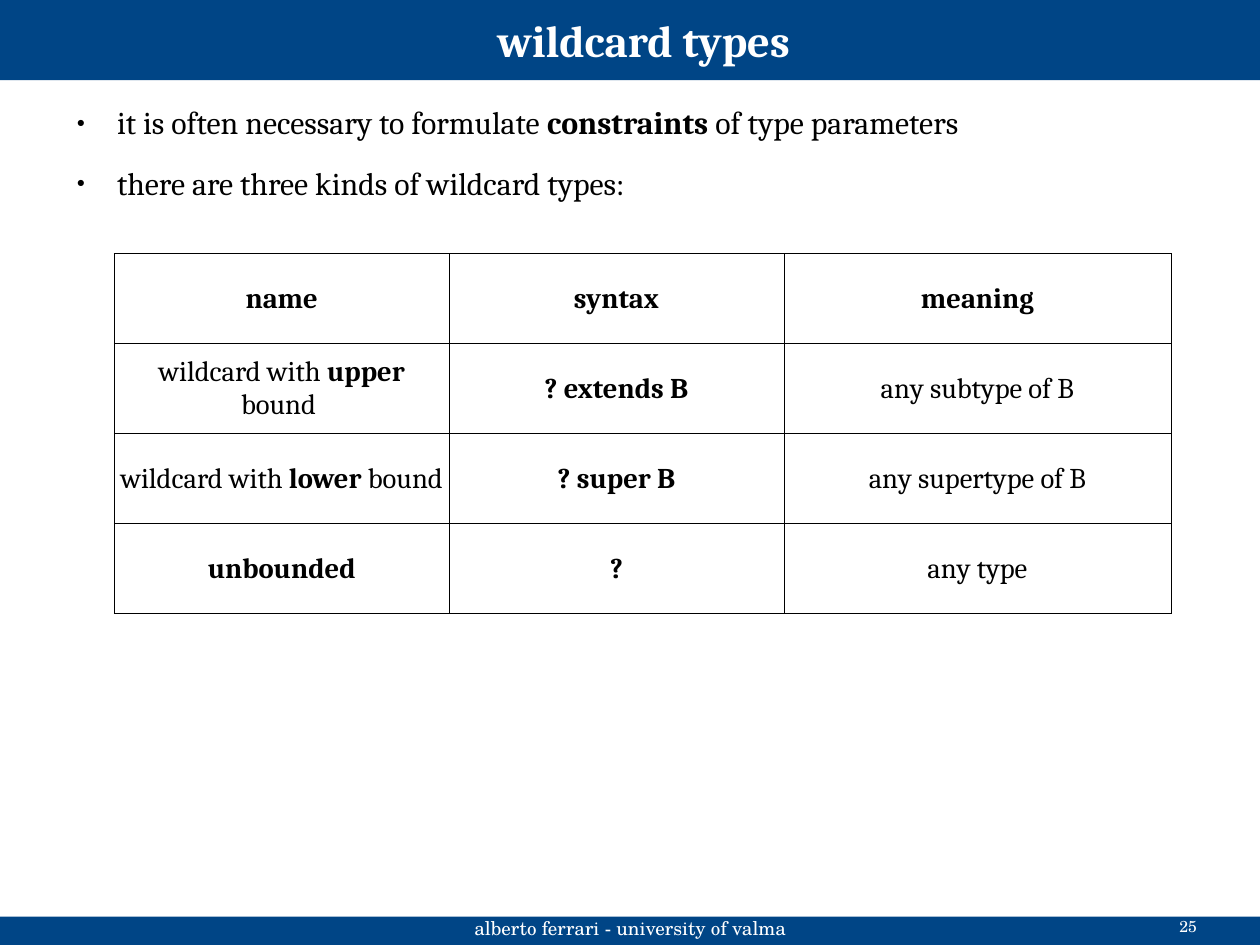
from pptx import Presentation
from pptx import util as u
from pptx.dml.color import RGBColor
from pptx.enum import shapes, text
from pptx.oxml import parse_xml
from pptx.oxml.ns import nsdecls, qn

NAVY = RGBColor(0x00, 0x45, 0x86)
BLACK = RGBColor(0, 0, 0)
WHITE = RGBColor(0xFF, 0xFF, 0xFF)
MAIN = "Cambria"
FOOT = "TeX Gyre Schola"
WIDE, HIGH = 28, 21
HEAD_H, FOOT_Y, FOOT_H = 1.78, 20.37, 0.64

POINTS = [
    "it is often necessary to formulate *constraints* of type parameters",
    "there are three kinds of wildcard types:",
]
KINDS = [
    ["*name*", "*syntax*", "*meaning*"],
    ["wildcard with *upper* bound ", "*? extends B*", "any subtype of B"],
    ["wildcard with *lower* bound", "*? super B*", "any supertype of B"],
    ["*unbounded*", "*?*", "any type"],
]


class Deck:
    def __init__(self):
        self.prs = Presentation()
        self.prs.slide_width = u.Cm(WIDE)
        self.prs.slide_height = u.Cm(HIGH)
        self.slide = self.prs.slides.add_slide(self.prs.slide_layouts[1])

    def fill_in(self, para, words, size, color=BLACK, font=MAIN, align="LEFT"):
        """Fill a paragraph; words between asterisks are bold."""
        para.alignment = text.PP_ALIGN[align]
        for i, part in enumerate(words.split("*")):
            if part:
                run = para.add_run()
                run.text = part
                run.font.size = u.Pt(size)
                run.font.name = font
                run.font.bold = i % 2 == 1
                run.font.color.rgb = color

    def place(self, shape, x, y, w, h, anchor="TOP"):
        """Move a text shape, drop its insets and return its frame."""
        shape.left, shape.top = u.Cm(x), u.Cm(y)
        shape.width, shape.height = u.Cm(w), u.Cm(h)
        frame = shape.text_frame
        frame.margin_left = frame.margin_right = 0
        frame.margin_top = frame.margin_bottom = 0
        frame.word_wrap = True
        frame.auto_size = text.MSO_AUTO_SIZE.NONE
        frame.vertical_anchor = text.MSO_ANCHOR[anchor]
        return frame

    def bar(self, y, h):
        """Draw a full-width band behind the placeholders."""
        band = self.slide.shapes.add_shape(
            shapes.MSO_SHAPE.RECTANGLE, 0, u.Cm(y), u.Cm(WIDE), u.Cm(h))
        band.shadow.inherit = False
        band.fill.solid()
        band.fill.fore_color.rgb = NAVY
        band.line.fill.background()
        band.element.getparent().insert(2, band.element)

    def title(self, words):
        frame = self.place(self.slide.shapes.title, 0, 0, WIDE, HEAD_H, "MIDDLE")
        para = frame.paragraphs[0]
        self.fill_in(para, words, 28, WHITE, align="CENTER")
        para._p.get_or_add_pPr().set("marL", str(u.Cm(0.6)))

    def points(self, items, x, y, w, h):
        frame = self.place(self.slide.placeholders[1], x, y, w, h)
        for i, item in enumerate(items):
            para = frame.add_paragraph() if i else frame.paragraphs[0]
            self.fill_in(para, item, 20)
            para.space_before = u.Pt(0)
            para.space_after = u.Pt(14.2)
            props = para._p.get_or_add_pPr()
            props.set("marL", str(u.Cm(1.2)))
            props.set("indent", str(u.Cm(-0.9)))
            for tag in (f'<a:buClr {nsdecls("a")}><a:srgbClr val="{BLACK}"/></a:buClr>',
                        f'<a:buSzPct {nsdecls("a")} val="45000"/>',
                        f'<a:buChar {nsdecls("a")} char="●"/>'):
                props.append(parse_xml(tag))

    def table(self, rows, x, y, cols, row_h):
        frame = self.slide.shapes.add_table(
            len(rows), len(cols), u.Cm(x), u.Cm(y),
            u.Cm(sum(cols)), u.Cm(row_h * len(rows)))
        grid = frame.table
        grid.first_row = grid.horz_banding = False
        for col, w in zip(grid.columns, cols):
            col.width = u.Cm(w)
        for r, row in enumerate(rows):
            grid.rows[r].height = u.Cm(row_h)
            for c, words in enumerate(row):
                cell = grid.cell(r, c)
                cell.fill.background()
                cell.vertical_anchor = text.MSO_ANCHOR.MIDDLE
                cell.margin_left = cell.margin_right = u.Cm(0.1)
                cell.margin_top = cell.margin_bottom = u.Cm(0.13)
                self.fill_in(cell.text_frame.paragraphs[0], words, 18, align="CENTER")
        for props in frame.element.iter(qn("a:tcPr")):
            for i, side in enumerate("LRTB"):
                props.insert(i, parse_xml(
                    f'<a:ln{side} {nsdecls("a")} w="{u.Pt(0.57)}"><a:solidFill>'
                    f'<a:srgbClr val="{BLACK}"/></a:solidFill></a:ln{side}>'))

    def note(self, words, x, w, size, align):
        """Put a text on the footer band."""
        box = self.slide.shapes.add_textbox(0, 0, 0, 0)
        frame = self.place(box, x, FOOT_Y, w, FOOT_H)
        self.fill_in(frame.paragraphs[0], words, size, WHITE, FOOT, align)


def main():
    deck = Deck()
    deck.bar(FOOT_Y, FOOT_H)
    deck.bar(0, HEAD_H)
    deck.title("*wildcard types*")
    deck.points(POINTS, 1.4, 2.29, 25.2, 12.2)
    deck.table(KINDS, 2.54, 5.64, [7.44, 7.44, 8.6], 2)
    deck.note("alberto ferrari - university of valma", 9.58, 8.86, 12, "CENTER")
    deck.note("25", 20.07, 6.53, 10, "RIGHT")
    deck.prs.save("out.pptx")


if __name__ == "__main__":
    main()
